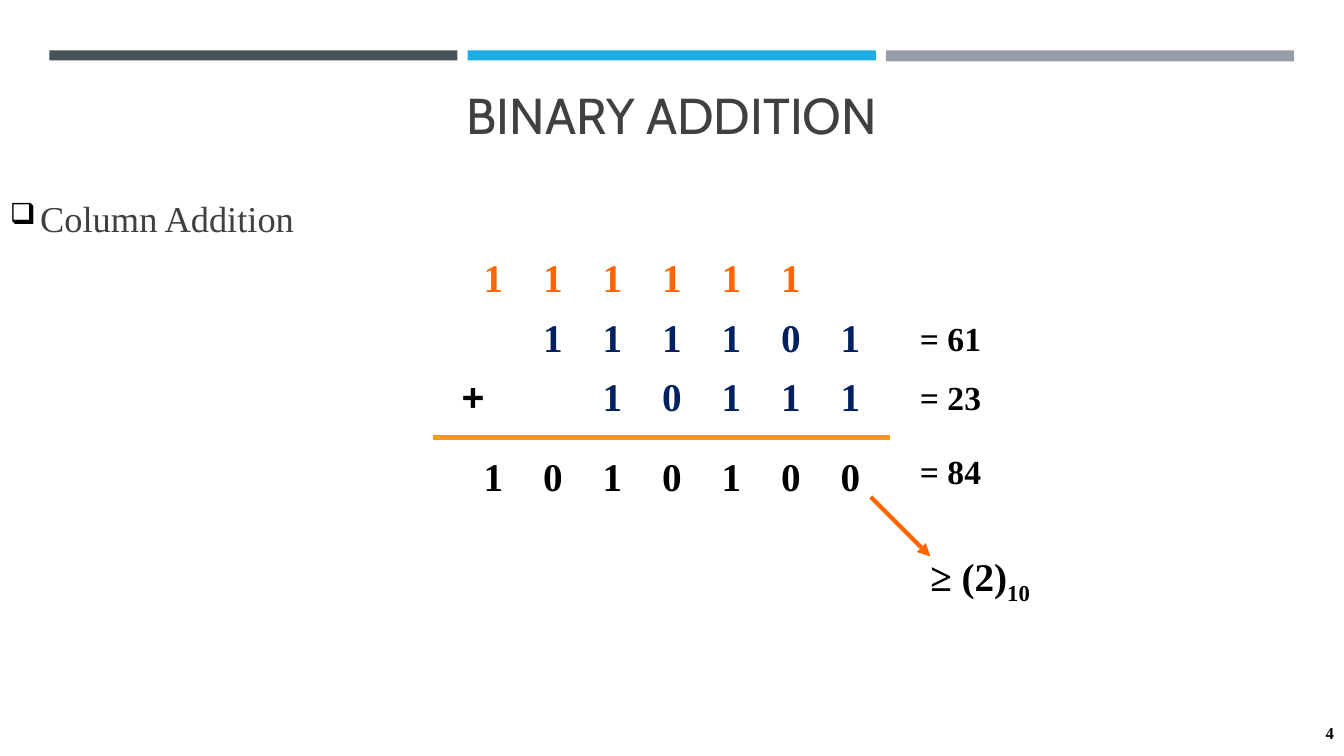
from lxml import etree
from pptx import Presentation
from pptx.dml.color import RGBColor
from pptx.enum import shapes, text
from pptx.oxml import ns
from pptx.util import Pt

# Content
TITLE = "BINARY ADDITION"
TOPIC = "Column Addition"
PAGE = "4"
SERIF = "Times New Roman"
ORANGE, NAVY, BLACK, GREY = "FF6600", "002060", "000000", "404040"
# Each row: digits right-aligned to seven columns, top, colour
ROWS = [
    ("111111 ", 185, ORANGE),
    ("111101", 227.5, NAVY),
    ("10111", 270, NAVY),
    ("1010100", 327, BLACK),
]
BARS = [("465359", 7.2), ("1CADE4", 7.2), ("969FA7", 7.9)]

# Layout
WIDTH, HEIGHT = 960, 540
COLUMNS, GRID_LEFT, STEP = 7, 338.4, 42.5
CELL_W, CELL_H = 28, 30.2
BAR_LEFT, BAR_W, BAR_STEP = 35.2, 291.6, 298.8

prs = Presentation()
prs.slide_width, prs.slide_height = Pt(WIDTH), Pt(HEIGHT)
s = prs.slides.add_slide(prs.slide_layouts[6])


def rgb(value):
    return RGBColor.from_string(value)


def add_text(lines, box, size, color=BLACK, font=SERIF, bold=True, align="LEFT",
             anchor="TOP", spacing=1.0, inset=True):
    tf = s.shapes.add_textbox(*map(Pt, box)).text_frame
    tf.word_wrap = True
    tf.vertical_anchor = text.MSO_ANCHOR[anchor]
    if not inset:
        tf.margin_left = tf.margin_right = tf.margin_top = tf.margin_bottom = 0
    tf.text = lines
    for p in tf.paragraphs:
        p.alignment = text.PP_ALIGN[align]
        p.line_spacing = spacing
        for r in p.runs:
            style_run(r, size, color, font, bold)
    return tf


def style_run(r, size, color=BLACK, font=SERIF, bold=True):
    r.font.size, r.font.name, r.font.bold = Pt(size), font, bold
    r.font.color.rgb = rgb(color)


def add_line(x1, y1, x2, y2, color, arrow=False):
    line = s.shapes.add_connector(shapes.MSO_CONNECTOR.STRAIGHT,
                                  Pt(x1), Pt(y1), Pt(x2), Pt(y2))
    line.line.color.rgb, line.line.width = rgb(color), Pt(3)
    if arrow:
        etree.SubElement(line.line._get_or_add_ln(), ns.qn("a:tailEnd"), type="triangle")
    etree.SubElement(line._element.spPr, ns.qn("a:effectLst"))


def add_symbol(symbol, x, y, color, font=SERIF):
    add_text(symbol, (x, y, CELL_W, CELL_H), 28, color, font,
             align="CENTER", spacing=0.9, inset=False)


# Header bars
for i, (color, height) in enumerate(BARS):
    bar = s.shapes.add_shape(shapes.MSO_SHAPE.RECTANGLE, Pt(BAR_LEFT + i * BAR_STEP),
                             Pt(36), Pt(BAR_W), Pt(height))
    bar.shadow.inherit = False
    bar.fill.solid()
    bar.fill.fore_color.rgb = rgb(color)
    bar.line.fill.background()

# Title, topic and page number
add_text(TITLE, (0, 42.5, WIDTH, 78.5), 36, GREY, "Cabin", False, "CENTER", "MIDDLE")
topic = add_text(TOPIC, (0, 121, WIDTH, 419), 26, GREY, bold=False, spacing=1.5)
pPr = topic.paragraphs[0]._p.get_or_add_pPr()
pPr.set("marL", str(Pt(21.6)))
pPr.set("indent", str(-Pt(21.6)))
bullet_color = etree.SubElement(pPr, ns.qn("a:buClr"))
etree.SubElement(bullet_color, ns.qn("a:srgbClr"), val=BLACK)
etree.SubElement(pPr, ns.qn("a:buSzPct"), val="80000")
etree.SubElement(pPr, ns.qn("a:buChar"), char="❑")
add_text(PAGE, (877, 509, 83, 29), 12, align="RIGHT", anchor="MIDDLE")

# Digit grid
for digits, top, color in ROWS:
    for column, digit in enumerate(digits.rjust(COLUMNS)):
        if digit != " ":
            add_symbol(digit, GRID_LEFT + column * STEP, top, color)
add_symbol("+", 324, 270, BLACK, "Arial")

# Sum line and arrow
add_line(635.8, 312.5, 309.6, 312.5, "FF9900")
add_line(622, 355, 664.5, 397.5, ORANGE, arrow=True)

# Decimal values
terms = add_text("= 61\n= 23", (650, 227.5, 68, 74), 24, spacing=0.87)
terms.paragraphs[1].line_spacing = 0.8
terms.paragraphs[1].space_before = Pt(18.6)
add_text("= 84", (650, 322.5, 68, 32.5), 24, spacing=0.87)

# Carry condition
carry = add_text("≥ (2)", (664.5, 395.3, 99, CELL_H), 28, spacing=0.9, inset=False)
r = carry.paragraphs[0].add_run()
r.text = "10"
style_run(r, 28)
r.font._element.set("baseline", "-25000")

prs.save("out.pptx")
